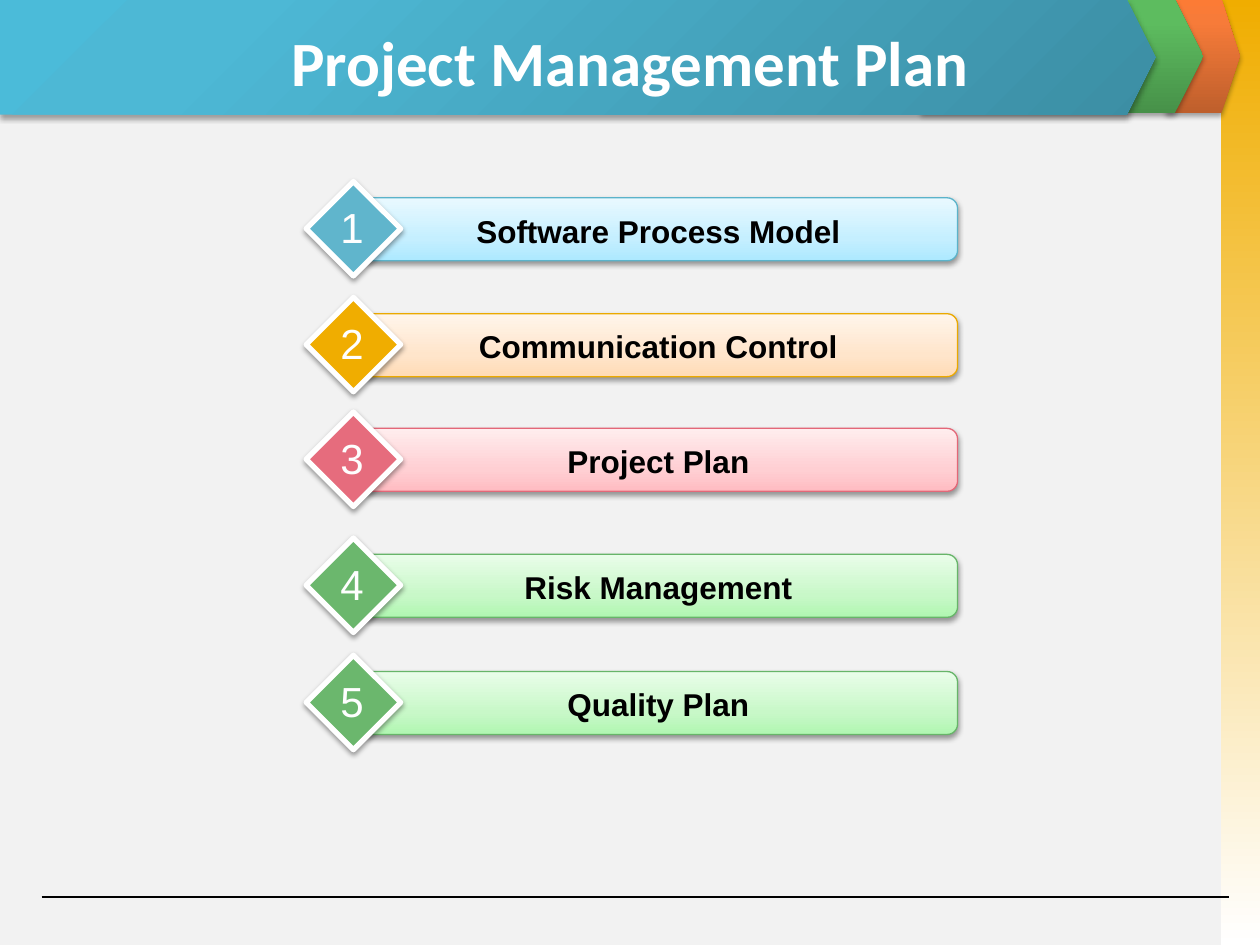
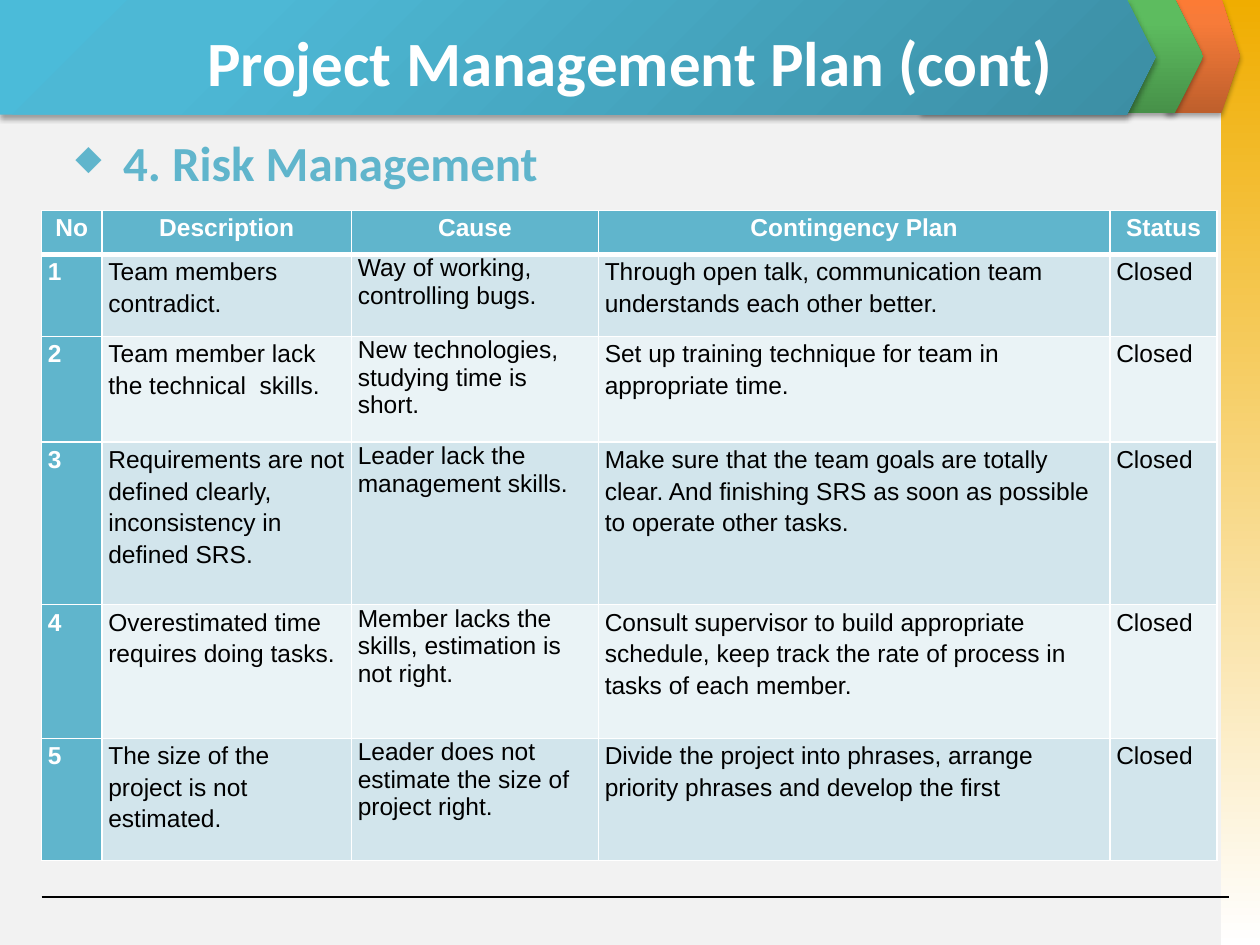
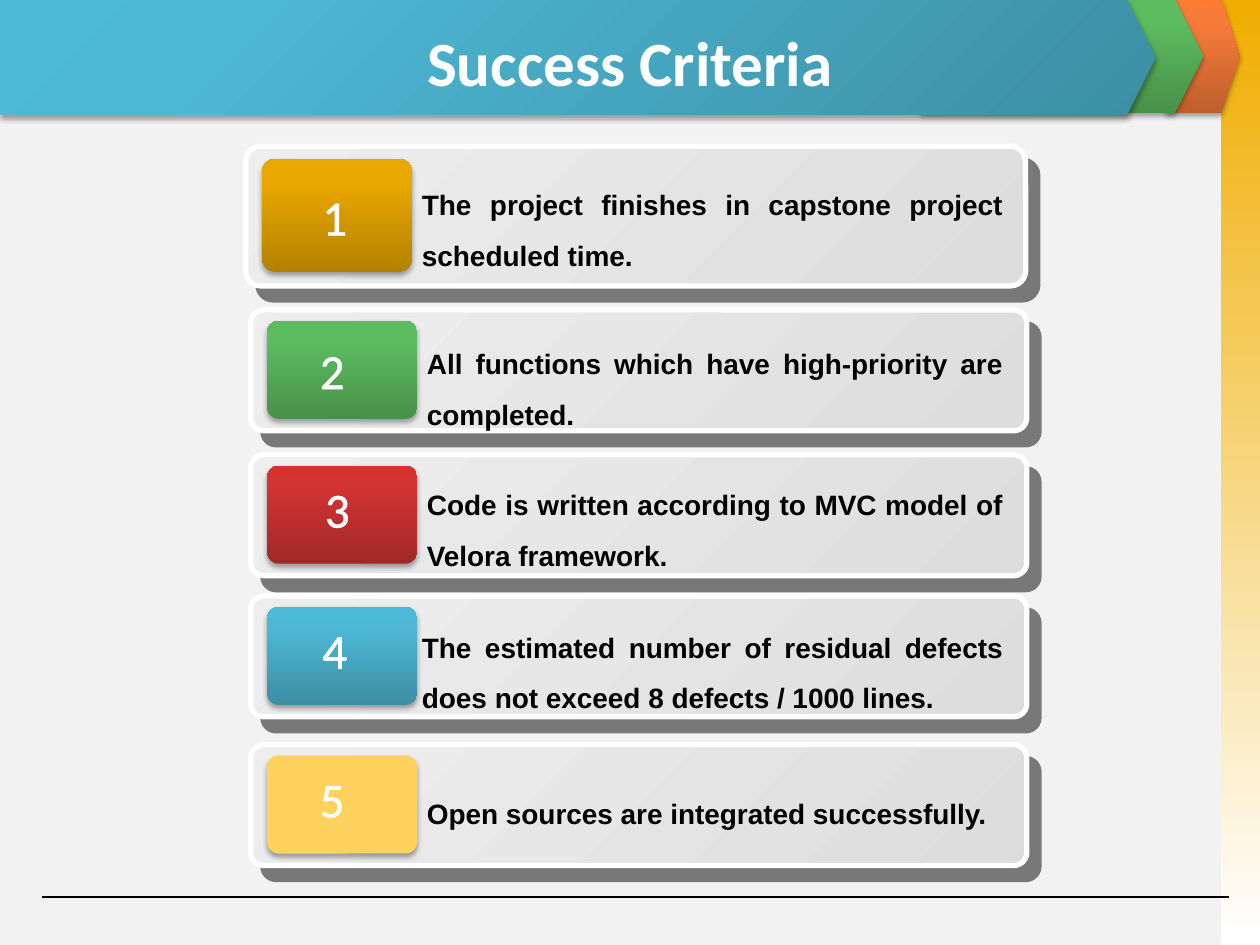
from dataclasses import dataclass

from lxml import etree
from pptx import Presentation
from pptx.dml.color import RGBColor
from pptx.enum.shapes import MSO_CONNECTOR, MSO_SHAPE as Preset
from pptx.enum.text import MSO_ANCHOR as Anchor, MSO_AUTO_SIZE as AutoSize, PP_ALIGN as Align
from pptx.oxml import parse_xml
from pptx.oxml.ns import nsdecls, qn
from pptx.util import Inches, Pt

WHITE, BLACK = "FFFFFF", "000000"
BACKGROUND = "F2F2F2"
TEAL, AMBER, ROSE, LEAF = "60B5CC", "F0AD00", "E66C7D", "6BB76D"
TITLE_FONT, BODY_FONT = "Calibri", "Arial"


@dataclass
class Gradient:
    """Colour stops as (percent, hex) pairs; a radial one spreads from the bottom right."""
    stops: tuple
    angle: int = 270
    radial: bool = False


@dataclass
class Shadow:
    opacity: int
    blur: float
    distance: float
    angle: int


def glossy(dark, middle, light, radial=False):
    return Gradient(((0, dark), (80, middle), (100, light)), radial=radial)


def pale(deep, middle, light):
    return Gradient(((0, deep), (35, middle), (100, light)))


BLUE_STOPS = ("3C8EA4", "4DB8D5", "4BBBD9")
GLOSSY_GREEN = glossy("479149", "5DBC5F", "5BBF5E")
PALE_GREEN = pale("B0F6B1", "C8F8C8", "E9FDE9")
PANEL_GREY = Gradient(((0, "EEEEEE"), (100, "DDDDDD")), angle=45)

BAND_SHADOW = Shadow(35, 3.1, 1.8, 90)
ITEM_SHADOW = Shadow(38, 3.1, 1.6, 90)
PANEL_SHADOW = Shadow(50, 0, 10.6, 49)

# top, label, diamond colour, bar outline, bar fill
PLAN_ITEMS = [
    (1.57, "Software Process Model", TEAL, "5BB3CA", pale("ADE9FF", "C5EFFF", "E9F9FF")),
    (2.49, "Communication Control", AMBER, "EBA900", pale("FFDBB5", "FFE5CB", "FFF5EB")),
    (3.4, "Project Plan", ROSE, "E46778", pale("FFBCC2", "FFCFD3", "FFEDEE")),
    (4.4, "Risk Management", LEAF, "67B569", PALE_GREEN),
    (5.33, "Quality Plan", LEAF, "67B569", PALE_GREEN),
]

RISK_HEADINGS = ("No", "Description", "Cause", "Contingency Plan", "Status")
RISK_COLUMNS = (0.48, 1.98, 1.96, 4.06, 0.85)
RISK_ROWS = (0.35, 0.65, 0.84, 1.29, 1.06, 0.97)
RISKS = [
    ("Team members contradict.",
     "Way of working, controlling bugs.",
     "Through open talk, communication team understands each other better."),
    ("Team member lack the technical  skills.",
     "New technologies, studying time is short.",
     "Set up training technique for team in appropriate time."),
    ("Requirements are not defined clearly, inconsistency in defined SRS.",
     "Leader lack the management skills.",
     "Make sure that the team goals are totally clear. And finishing SRS "
     "as soon as possible to operate other tasks."),
    ("Overestimated time requires doing tasks.",
     "Member lacks the skills, estimation is not right.",
     "Consult supervisor to build appropriate schedule, keep track the rate "
     "of process in tasks of each member."),
    ("The size of the project is not estimated.",
     "Leader does not estimate the size of project right.",
     "Divide the project into phrases, arrange priority phrases and develop the first"),
]


@dataclass
class Criterion:
    text: str
    badge_fill: object
    panel: tuple
    number: tuple
    text_at: tuple


CRITERIA = [
    Criterion("The project finishes in capstone project scheduled time.",
              glossy("B38100", "E9A800", "EAA800"),
              (1.95, 1.16, 6.19, 1.11), (2.46, 1.43, 0.34, 0.57), (3.25, 1.31)),
    Criterion("All functions which have high-priority are completed.",
              GLOSSY_GREEN,
              (1.99, 2.46, 6.16, 0.96), (2.44, 2.65, 0.37, 0.57), (3.29, 2.57)),
    Criterion("Code is written according to MVC model of Velora framework.",
              glossy("A22827", "D23432", "D6312F"),
              (1.99, 3.61, 6.16, 0.96), (2.48, 3.75, 0.35, 0.57), (3.29, 3.69)),
    Criterion("The estimated number of residual defects does not exceed 8 defects / 1000 lines.",
              glossy(*BLUE_STOPS),
              (1.99, 4.73, 6.16, 0.96), (2.46, 4.87, 0.37, 0.57), (3.25, 4.82)),
    Criterion("Open sources are integrated successfully.",
              "FFD25D",
              (1.99, 5.91, 6.16, 0.96), (2.44, 6.05, 0.37, 0.57), (3.29, 6.14)),
]


def rgb(hex_colour):
    return RGBColor.from_string(hex_colour)


def inches(*lengths):
    return [Inches(length) for length in lengths]


def solid_xml(colour):
    return f'<a:solidFill><a:srgbClr val="{colour}"/></a:solidFill>'


def set_gradient(shape, gradient):
    stops = "".join(f'<a:gs pos="{percent * 1000}"><a:srgbClr val="{colour}"/></a:gs>'
                    for percent, colour in gradient.stops)
    if gradient.radial:
        direction = '<a:path path="circle"><a:fillToRect l="100000" t="100000"/></a:path>'
    else:
        direction = f'<a:lin ang="{gradient.angle * 60000}" scaled="0"/>'
    outline = shape._element.spPr.find(qn("a:prstGeom"))
    outline.addnext(parse_xml(f'<a:gradFill {nsdecls("a")} rotWithShape="1">'
                              f'<a:gsLst>{stops}</a:gsLst>{direction}</a:gradFill>'))


def set_shadow(shape, shadow):
    effects = shape._element.spPr.find(qn("a:effectLst"))
    effects.append(parse_xml(
        f'<a:outerShdw {nsdecls("a")} blurRad="{Pt(shadow.blur)}" dist="{Pt(shadow.distance)}" '
        f'dir="{shadow.angle * 60000}" algn="ctr" rotWithShape="0"><a:srgbClr val="{BLACK}">'
        f'<a:alpha val="{shadow.opacity * 1000}"/></a:srgbClr></a:outerShdw>'))


def add_block(slide, preset, at, fill, line=None, width=0.75, corner=None, shadow=None):
    """Draw a preset shape whose fill is a hex colour or a Gradient."""
    block = slide.shapes.add_shape(preset, *inches(*at))
    if corner is not None:
        block.adjustments[0] = corner
    if isinstance(fill, Gradient):
        set_gradient(block, fill)
    else:
        block.fill.solid()
        block.fill.fore_color.rgb = rgb(fill)
    if line:
        block.line.color.rgb = rgb(line)
        block.line.width = Pt(width)
    else:
        block.line.fill.background()
    block.shadow.inherit = False
    if shadow:
        set_shadow(block, shadow)


def write(frame, text, size, font=BODY_FONT, colour=BLACK, bold=False, align=Align.LEFT,
          spacing=None, outline=None):
    """Put one formatted paragraph into a text frame and return it."""
    paragraph = frame.paragraphs[0]
    paragraph.alignment = align
    if spacing:
        paragraph.line_spacing = spacing
    run = paragraph.add_run()
    run.text = text
    run.font.size = Pt(size)
    run.font.name = font
    run.font.bold = bold
    run.font.color.rgb = rgb(colour)
    if outline:
        run._r.get_or_add_rPr().insert(0, parse_xml(
            f'<a:ln {nsdecls("a")} w="{Pt(outline)}">{solid_xml(colour)}</a:ln>'))
    return paragraph


def add_text(slide, at, text, size, wrap=True, grow=True, anchor=Anchor.TOP, **style):
    frame = slide.shapes.add_textbox(*inches(*at)).text_frame
    frame.word_wrap = wrap
    frame.auto_size = AutoSize.SHAPE_TO_FIT_TEXT if grow else AutoSize.NONE
    frame.vertical_anchor = anchor
    return write(frame, text, size, **style)


def add_rule(slide, left, right, y):
    rule = slide.shapes.add_connector(MSO_CONNECTOR.STRAIGHT, *inches(left, y, right, y))
    rule.line.color.rgb = rgb(BLACK)
    rule.line.width = Pt(0.75)
    etree.SubElement(rule._element.spPr, qn("a:effectLst"))


def add_chevron(slide, at, fill):
    add_block(slide, Preset.PENTAGON, at, fill, corner=0.25, shadow=BAND_SHADOW)


def add_titled_slide(deck, title):
    """Start a slide with the side strip, header band, footer rule and title."""
    slide = deck.slides.add_slide(deck.slide_layouts[6])
    slide.background.fill.solid()
    slide.background.fill.fore_color.rgb = rgb(BACKGROUND)
    add_block(slide, Preset.RECTANGLE, (9.69, 0, 0.31, 7.5),
              Gradient(((0, AMBER), (100, WHITE)), angle=90))
    add_chevron(slide, (9.25, -0.01, 0.59, 0.91), glossy("BE5F2C", "F77B39", "FC7B35"))
    add_chevron(slide, (7.31, -0.01, 2.24, 0.91), GLOSSY_GREEN)
    add_rule(slide, 0.33, 9.75, 7.12)
    add_chevron(slide, (0, 0, 9.17, 0.91), glossy(*BLUE_STOPS, radial=True))
    add_text(slide, (0.5, 0.14, 9, 0.69), title, 36, grow=False, anchor=Anchor.MIDDLE,
             font=TITLE_FONT, colour=WHITE, bold=True, align=Align.CENTER)
    return slide


def add_plan_item(slide, number, top, label, colour, outline, fill):
    add_block(slide, Preset.ROUNDED_RECTANGLE, (2.85, top, 4.75, 0.5), fill, line=outline,
              corner=0.167, shadow=ITEM_SHADOW)
    add_block(slide, Preset.DIAMOND, (2.43, top - 0.13, 0.75, 0.75), colour, line=WHITE,
              width=3, shadow=ITEM_SHADOW)
    add_text(slide, (3.1, top + 0.06, 4.25, 0.4), label, 18, bold=True, align=Align.CENTER)
    add_text(slide, (2.6, top - 0.02, 0.39, 0.5), str(number), 24, wrap=False,
             colour="FEFEFE", align=Align.CENTER)


def add_diamond_heading(slide, at, text):
    heading = add_text(slide, at, text, 28, grow=False, font=TITLE_FONT, colour=TEAL, bold=True)
    heading.space_before = Pt(5.6)
    properties = heading._p.get_or_add_pPr()
    properties.set("marL", str(Inches(0.38)))
    properties.set("indent", str(Inches(-0.38)))
    colour = etree.SubElement(properties, qn("a:buClr"))
    etree.SubElement(colour, qn("a:srgbClr"), val=TEAL)
    etree.SubElement(properties, qn("a:buSzPct"), val="70000")
    etree.SubElement(properties, qn("a:buChar"), char="◆")


def set_borders(cell, top=1, bottom=1):
    widths = {"lnL": 1, "lnR": 1, "lnT": top, "lnB": bottom}
    properties = cell._tc.get_or_add_tcPr()
    for position, (side, width) in enumerate(widths.items()):
        properties.insert(position, parse_xml(
            f'<a:{side} {nsdecls("a")} w="{Pt(width)}">{solid_xml(WHITE)}</a:{side}>'))


def fill_risk_cell(cell, text, row, column):
    heading = row == 0
    accent = heading or column == 0
    cell.margin_left = cell.margin_right = Inches(0.05)
    cell.margin_top = cell.margin_bottom = 0
    cell.fill.solid()
    cell.fill.fore_color.rgb = rgb(TEAL if accent else "D2E5EC" if row % 2 else "EAF3F6")
    set_borders(cell, top=3 if row == 1 else 1, bottom=3 if heading else 1)
    align = Align.CENTER if heading else Align.JUSTIFY if accent else Align.LEFT
    is_cause = RISK_HEADINGS[column] == "Cause" and not heading
    write(cell.text_frame, text, 14, colour=WHITE if accent else BLACK, bold=accent,
          align=align, spacing=None if is_cause else 1.15)


def add_risk_table(slide):
    records = [RISK_HEADINGS] + [(str(number), *risk, "Closed")
                                 for number, risk in enumerate(RISKS, 1)]
    table = slide.shapes.add_table(
        len(records), len(RISK_HEADINGS),
        *inches(0.33, 1.67, sum(RISK_COLUMNS), sum(RISK_ROWS))).table
    for column, width in zip(table.columns, RISK_COLUMNS):
        column.width = Inches(width)
    for row, height in zip(table.rows, RISK_ROWS):
        row.height = Inches(height)
    for row, record in enumerate(records):
        for column, text in enumerate(record):
            fill_risk_cell(table.cell(row, column), text, row, column)


def add_criterion(slide, number, criterion):
    left, top, _, height = criterion.panel
    add_block(slide, Preset.ROUNDED_RECTANGLE, criterion.panel, PANEL_GREY, line=WHITE,
              width=3, corner=0.109, shadow=PANEL_SHADOW)
    badge = (left + 0.13, top + height * 0.09, 1.19, height * 0.81)
    add_block(slide, Preset.ROUNDED_RECTANGLE, badge, criterion.badge_fill,
              corner=0.119, shadow=BAND_SHADOW)
    add_text(slide, criterion.number, str(number), 28, font=TITLE_FONT, colour=WHITE,
             align=Align.CENTER, outline=1.45)
    text_left, text_top = criterion.text_at
    add_text(slide, (text_left, text_top, 8.06 - text_left, 0.9), criterion.text, 16,
             bold=True, align=Align.JUSTIFY, spacing=1.5)


def main():
    deck = Presentation()
    deck.slide_width, deck.slide_height = inches(10, 7.5)

    plan = add_titled_slide(deck, "Project Management Plan")
    for number, item in enumerate(PLAN_ITEMS, 1):
        add_plan_item(plan, number, *item)

    risks = add_titled_slide(deck, "Project Management Plan (cont)")
    add_diamond_heading(risks, (0.5, 1, 9, 0.58), "4. Risk Management")
    add_risk_table(risks)

    success = add_titled_slide(deck, "Success Criteria")
    for number, criterion in enumerate(CRITERIA, 1):
        add_criterion(success, number, criterion)

    deck.save("out.pptx")


if __name__ == "__main__":
    main()
